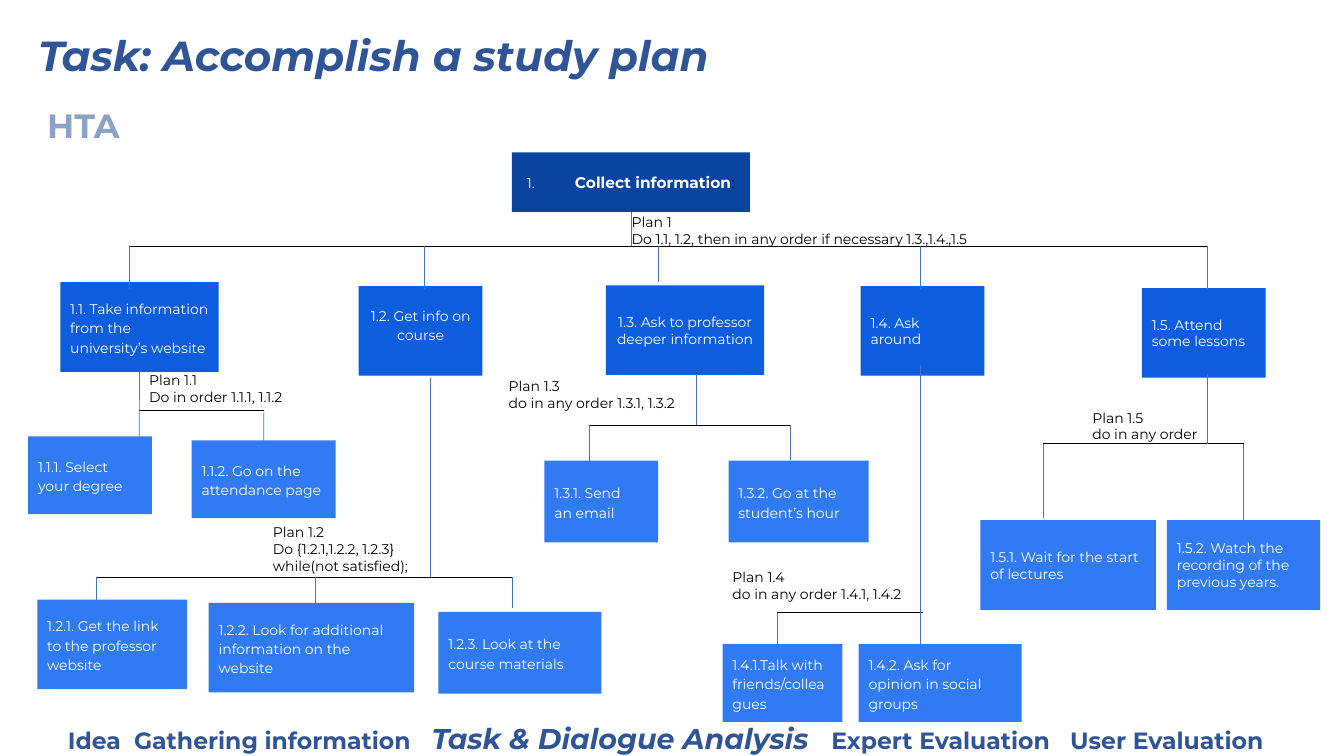
"""Build the hierarchical task analysis slide for a study plan."""
from dataclasses import dataclass

from lxml import etree
from pptx import Presentation
from pptx.dml.color import RGBColor
from pptx.enum.shapes import MSO_CONNECTOR, MSO_SHAPE
from pptx.enum.text import MSO_ANCHOR, PP_ALIGN
from pptx.oxml.ns import qn
from pptx.util import Cm, Pt

LEFT, CENTER = PP_ALIGN.LEFT, PP_ALIGN.CENTER
TOP, MIDDLE, BOTTOM = MSO_ANCHOR.TOP, MSO_ANCHOR.MIDDLE, MSO_ANCHOR.BOTTOM
RECT, STRAIGHT = MSO_SHAPE.RECTANGLE, MSO_CONNECTOR.STRAIGHT
TOP_SITE, BOTTOM_SITE = 0, 2
PAD = (0.25, 0.25, 0.25, 0.25)
DEFAULT_PAD = (0.25, 0.13, 0.25, 0.13)


@dataclass(frozen=True)
class Theme:
    font: str = "Montserrat"
    heading: str = "2F5597"
    subheading: str = "8CA1C5"
    root: str = "0944A1"
    task: str = "0D5DDF"
    subtask: str = "307BF3"
    branch: str = "4472C4"
    black: str = "000000"
    white: str = "FFFFFF"
    title_size: float = 30
    subtitle_size: float = 24
    current_size: float = 20.4
    step_size: float = 16.8
    root_size: float = 11
    body_size: float = 10
    line_width: float = 0.5


class Deck:
    def __init__(self, prs, theme):
        self.theme = theme
        self.s = prs.slides.add_slide(prs.slide_layouts[5])
        self.nodes = []

    def fill_text(self, sp, paragraphs, align=LEFT, anchor=TOP, pad=PAD,
                  spacing=1.0, wrap=True, tabs=()):
        tf = sp.text_frame
        sides = ("margin_left", "margin_top", "margin_right", "margin_bottom")
        frame = dict(zip(sides, map(Cm, pad)), vertical_anchor=anchor, word_wrap=wrap)
        for key, value in frame.items():
            setattr(tf, key, value)
        for i, runs in enumerate(paragraphs):
            p = tf.add_paragraph() if i else tf.paragraphs[0]
            if tabs:
                tab_list = etree.SubElement(p._p.get_or_add_pPr(), qn("a:tabLst"))
                for x in tabs:
                    etree.SubElement(tab_list, qn("a:tab"), pos=str(Cm(x)), algn="l")
            p.alignment, p.line_spacing = align, spacing
            for text, size, color, style in runs:
                r = p.add_run()
                r.text = text
                fmt = {"name": self.theme.font, "size": Pt(size),
                       "bold": False, "italic": False, **style}
                for key, value in fmt.items():
                    setattr(r.font, key, value)
                r.font.color.rgb = RGBColor.from_string(color)

    def title(self, box, runs):
        sp = self.s.shapes.title
        for key, value in zip(("left", "top", "width", "height"), box):
            setattr(sp, key, Cm(value))
        self.fill_text(sp, [runs], anchor=BOTTOM, pad=DEFAULT_PAD, spacing=0.9)

    def text(self, box, paragraphs, **layout):
        sp = self.s.shapes.add_textbox(*map(Cm, box))
        self.fill_text(sp, paragraphs, **layout)

    def node(self, box, color, runs, **layout):
        sp = self.s.shapes.add_shape(RECT, *map(Cm, box))
        sp.shadow.inherit = False
        sp.fill.solid()
        sp.fill.fore_color.rgb = RGBColor.from_string(color)
        sp.line.fill.background()
        self.fill_text(sp, [runs], anchor=MIDDLE, **layout)
        left, top, width, height = box
        self.nodes.append((sp, left + width / 2, top, top + height))

    def line(self, x0, y0, x1, y1, color):
        c = self.s.shapes.add_connector(STRAIGHT, *map(Cm, (x0, y0, x1, y1)))
        c.line.color.rgb = RGBColor.from_string(color)
        c.line.width = Pt(self.theme.line_width)
        etree.SubElement(c._element.spPr, qn("a:effectLst"))
        for sp, center, top, bottom in self.nodes:
            if max(abs(x0 - center), abs(y0 - bottom)) < 0.02:
                c.begin_connect(sp, BOTTOM_SITE)
            if max(abs(x1 - center), abs(y1 - top)) < 0.02:
                c.end_connect(sp, TOP_SITE)

    def branch(self, y, x0, x1, stem, drops):
        self.line(x0, y, x1, y, self.theme.black)
        x, top, bottom = stem
        self.line(x, top, x, bottom, self.theme.branch)
        for x, bottom in drops:
            self.line(x, y, x, bottom, self.theme.branch)


LOOSE = {"spacing": 1.15}
NARROW = {"pad": (0.25, 0.25, 0.6, 0.25)}

TASKS = [
    ((1.52, 7.11, 3.99, 2.26), "1.1. Take information from the university’s website", LOOSE),
    ((9.04, 7.21, 3.12, 2.26), "1.2. Get info on course",
     {**LOOSE, "align": CENTER, "pad": (0.25, 0.25, 0.25, 0.6)}),
    ((15.27, 7.19, 3.99, 2.26), "1.3. Ask to professor deeper information", {"align": CENTER}),
    ((21.69, 7.21, 3.12, 2.26), "1.4. Ask around", NARROW),
    ((28.78, 7.26, 3.12, 2.26), "1.5. Attend some lessons", {}),
]

SUBTASKS = [
    ((0.71, 11, 3.12, 1.96), "1.1.1. Select your degree", LOOSE),
    ((4.83, 11.1, 3.63, 1.96), "1.1.2. Go on the attendance page", LOOSE),
    ((0.94, 15.11, 3.78, 2.26), "1.2.1. Get the link to the professor website",
     {**LOOSE, **NARROW}),
    ((5.26, 15.19, 5.18, 2.26), "1.2.2. Look for additional information on the website", LOOSE),
    ((11.05, 15.42, 4.11, 2.06), "1.2.3. Look at the course materials", LOOSE),
    ((13.72, 11.61, 2.87, 2.06), "1.3.1. Send an email", {**LOOSE, **NARROW}),
    ((18.36, 11.61, 3.53, 2.06), "1.3.2. Go at the student’s hour", LOOSE),
    ((18.21, 16.23, 3.02, 1.96), "1.4.1.Talk with friends/colleagues", LOOSE),
    ((21.64, 16.23, 4.11, 1.96), "1.4.2. Ask for opinion in social groups",
     {**LOOSE, **NARROW}),
    ((24.71, 13.11, 4.42, 2.26), "1.5.1. Wait for the start of lectures",
     {"pad": (0.25, 0.25, 0.4, 0.25)}),
    ((29.41, 13.11, 3.86, 2.26), "1.5.2. Watch the recording of the previous years.", {}),
]

PLANS = [
    ((15.67, 5.13, 10.08, 1.37),
     ["Plan 1", "Do 1.1, 1.2, then in any order if necessary 1.3.,1.4.,1.5"]),
    ((3.51, 9.12, 4.27, 1.37), ["Plan 1.1", "Do in order 1.1.1, 1.1.2"]),
    ((6.63, 12.95, 4.52, 1.8),
     ["Plan 1.2", "Do {1.2.1,1.2.2, 1.2.3}", "while(not satisfied);"]),
    ((12.57, 9.27, 6.81, 1.37), ["Plan 1.3", "do in any order 1.3.1, 1.3.2"]),
    ((18.21, 14.07, 5.84, 1.37), ["Plan 1.4", "do in any order 1.4.1, 1.4.2"]),
    ((27.28, 10.06, 4.42, 1.37), ["Plan 1.5", "do in any order"]),
]

BRANCHES = [
    (6.2, 3.25, 30.43, (15.9, 5.34, 6.2),
     [(3.25, 7.29), (10.69, 7.29), (16.59, 7.11), (23.19, 7.29), (30.43, 7.29)]),
    (10.34, 3.51, 6.65, (3.51, 9.37, 11), [(6.65, 11.1)]),
    (14.55, 2.44, 12.9, (10.85, 9.52, 14.55), [(2.44, 15.14), (7.95, 15.32), (12.9, 15.32)]),
    (10.72, 14.86, 19.91, (17.55, 9.42, 10.72), [(14.86, 11.61), (19.91, 11.58)]),
    (15.44, 19.58, 23.27, (23.2, 9.19, 16.23), [(19.58, 16.28)]),
    (11.18, 26.29, 31.34, (30.43, 9.42, 11.18), [(26.29, 13.06), (31.34, 13.11)]),
]


def main():
    prs = Presentation()
    prs.slide_width, prs.slide_height = Cm(33.87), Cm(19.05)
    t = Theme()
    deck = Deck(prs, t)
    bold = {"bold": True}
    bold_italic = {"bold": True, "italic": True}

    deck.title((0.71, 0.56, 25.4, 1.6),
               [("Task: Accomplish a study plan", t.title_size, t.heading, bold_italic)])
    deck.text((0.94, 2.51, 2.39, 1.27), [[("HTA", t.subtitle_size, t.subheading, bold)]],
              pad=DEFAULT_PAD, wrap=False)

    for color, nodes in ((t.task, TASKS), (t.subtask, SUBTASKS)):
        for box, label, layout in nodes:
            deck.node(box, color, [(label, t.body_size, t.white, {})], **layout)
    for box, lines in PLANS:
        deck.text(box, [[(line, t.body_size, t.black, {})] for line in lines])
    deck.node((12.9, 3.84, 6, 1.5), t.root,
              [("1.\t", t.body_size, t.white, {}),
               ("Collect information", t.root_size, t.white, bold),
               (":", t.root_size, t.black, {})],
              pad=(0.38, 0.25, 0.25, 0.25), tabs=[1.21])
    for branch in BRANCHES:
        deck.branch(*branch)

    deck.text((1.71, 17.78, 31.2, 1.27),
              [[("Idea\tGathering information\t", t.step_size, t.heading, bold),
                ("Task & Dialogue Analysis\t", t.current_size, t.heading, bold_italic),
                ("Expert Evaluation\tUser Evaluation", t.step_size, t.heading, bold)]],
              pad=(0, 0.13, 0, 0.13), spacing=1.3, tabs=[1.67, 9.17, 19.24, 25.26])
    prs.save("out.pptx")


if __name__ == "__main__":
    main()
